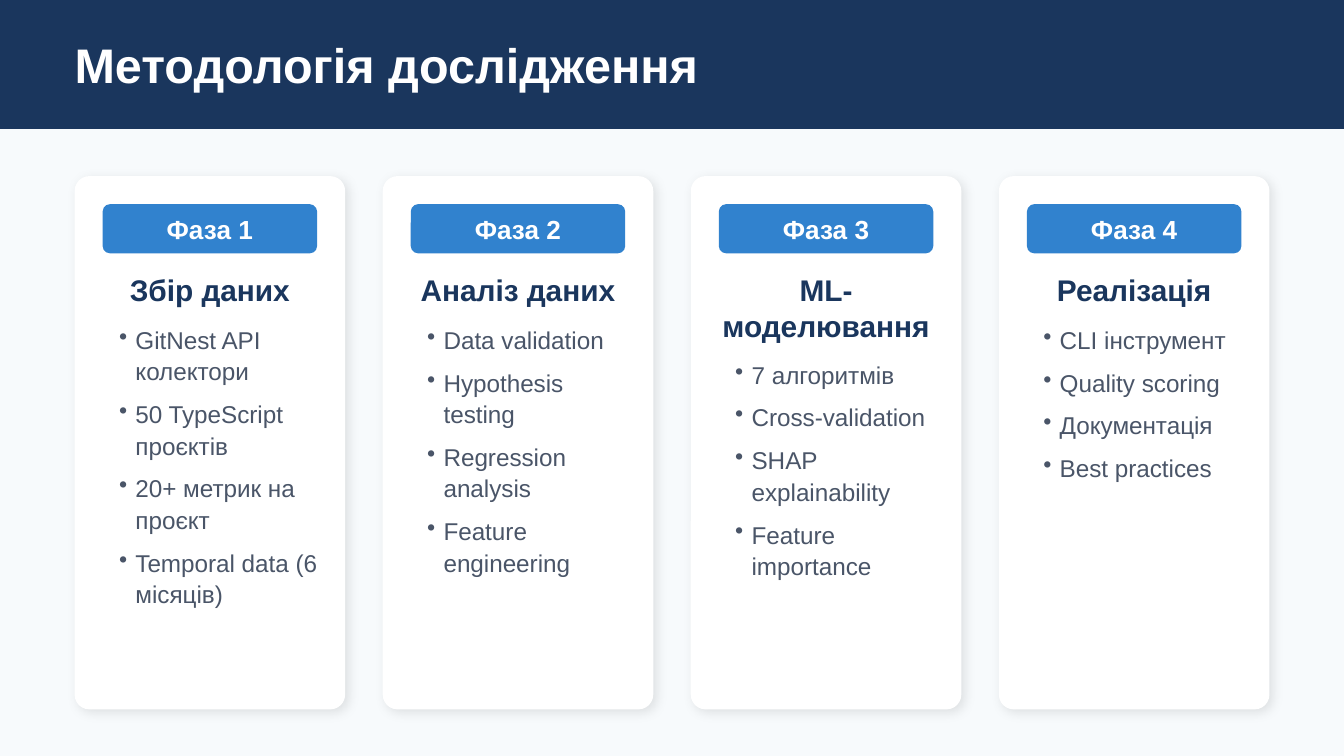
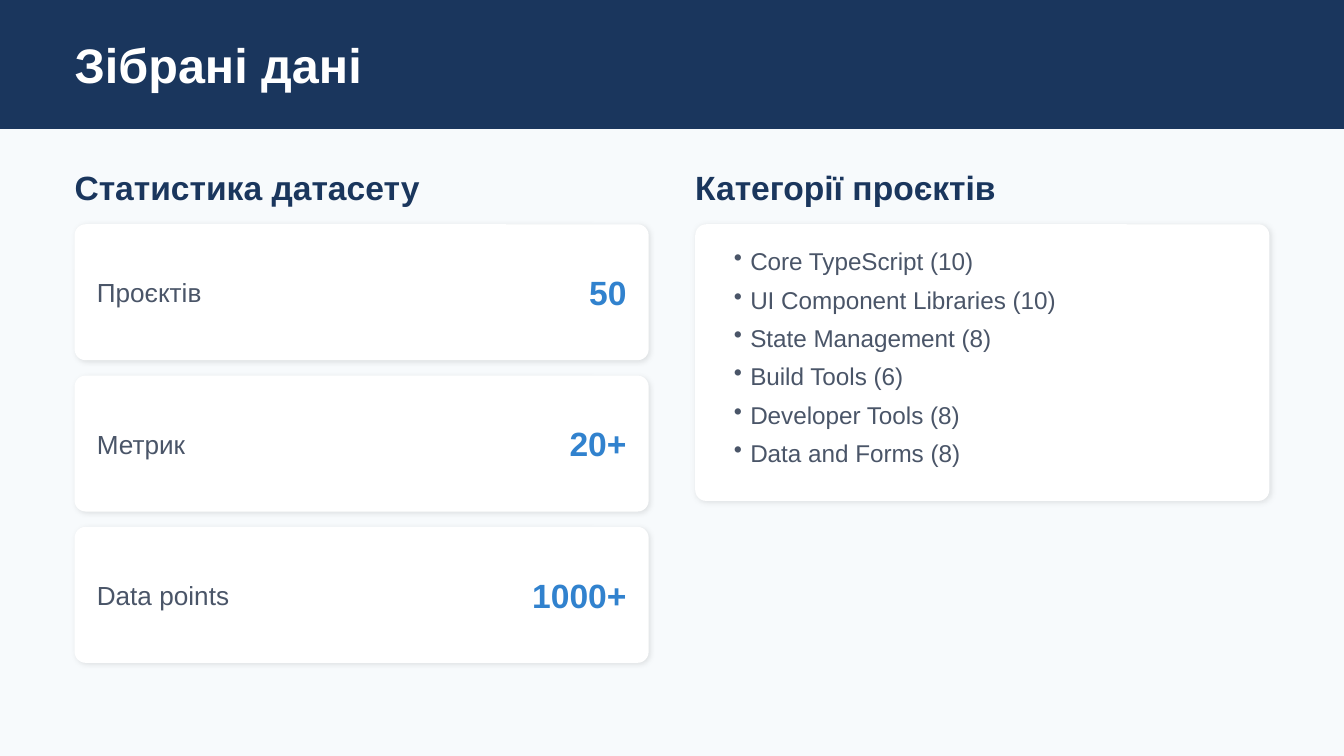
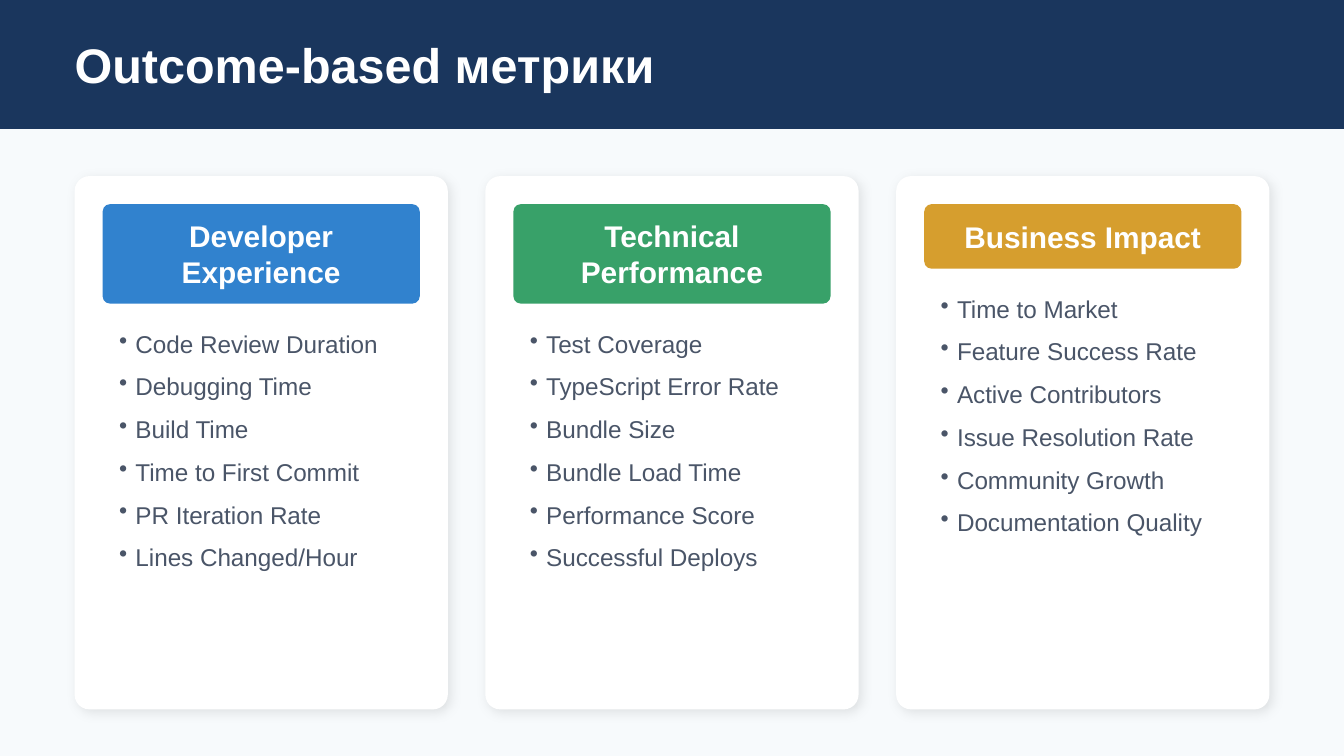
from lxml.etree import SubElement
from pptx import Presentation
from pptx.dml.color import RGBColor
from pptx.enum.shapes import MSO_SHAPE as Preset
from pptx.enum.text import MSO_ANCHOR as Anchor, PP_ALIGN as Align
from pptx.oxml.ns import qn
from pptx.util import Cm, Pt

NAVY, BLUE, GREEN, GOLD = "1A365D", "3182CE", "38A169", "D69E2E"
WHITE, GREY, PALE = "FFFFFF", "4A5568", "F7FAFC"

WIDTH, HEIGHT = 25.4, 14.29
MARGIN, GAP, PADDING = 1.41, 0.71, 0.53
CONTENT = WIDTH - 2 * MARGIN
CARD_TOP, CARD_HEIGHT = 3.33, 10.08
CARD_BOTTOM = CARD_TOP + CARD_HEIGHT
LINE = 0.66
INDENT = 0.31

TITLE = {"font": {"size": Pt(26), "bold": True}, "color": WHITE,
         "frame": {"margin_left": Cm(MARGIN), "vertical_anchor": Anchor.MIDDLE}}
HEADING = {"font": {"size": Pt(18), "bold": True}, "color": NAVY}
PHASE_HEADING = {"font": {"size": Pt(16), "bold": True}, "color": NAVY,
                 "paragraph": {"alignment": Align.CENTER}}
BADGE_FRAME = {"margin_left": Cm(0.38), "margin_right": Cm(0.38),
               "vertical_anchor": Anchor.MIDDLE}
PHASE_BADGE = {"font": {"size": Pt(14), "bold": True}, "color": WHITE,
               "paragraph": {"alignment": Align.CENTER}, "frame": BADGE_FRAME}
METRIC_BADGE = {**PHASE_BADGE, "font": {"size": Pt(16), "bold": True}}
LABEL = {"font": {"size": Pt(14)}, "color": GREY,
         "frame": {"vertical_anchor": Anchor.MIDDLE}}
VALUE = {"font": {"size": Pt(18), "bold": True}, "color": BLUE,
         "paragraph": {"alignment": Align.RIGHT},
         "frame": {"vertical_anchor": Anchor.MIDDLE}}
BULLETS = {"font": {"size": Pt(13)}, "color": GREY, "bullet": True,
           "paragraph": {"line_spacing": Pt(16.9), "space_after": Pt(6)},
           "frame": {"margin_left": Cm(INDENT)}}
TIGHT_BULLETS = {**BULLETS, "paragraph": {"line_spacing": Pt(15.6), "space_after": Pt(5)}}


def add_box(slide, left, top, width, height, fill, radius=0, shadow=None):
    preset = Preset.ROUNDED_RECTANGLE if radius else Preset.RECTANGLE
    shape = slide.shapes.add_shape(preset, Cm(left), Cm(top), Cm(width), Cm(height))
    shape.fill.solid()
    shape.fill.fore_color.rgb = RGBColor.from_string(fill)
    shape.line.fill.background()
    shape.shadow.inherit = False
    if radius:
        shape.adjustments[0] = radius / min(width, height)
    if shadow:
        blur, distance = shadow
        effects = shape._element.spPr.find(qn("a:effectLst"))
        outer = SubElement(effects, qn("a:outerShdw"), blurRad=str(Pt(blur)),
                           dist=str(Pt(distance)), dir="2700000", algn="bl", rotWithShape="0")
        color = SubElement(outer, qn("a:srgbClr"), val="000000")
        SubElement(color, qn("a:alpha"), val="10000")
    return shape


def write(shape, lines, style):
    frame = shape.text_frame
    values = {"word_wrap": True, "margin_left": 0, "margin_top": 0, "margin_right": 0,
              "margin_bottom": 0, "vertical_anchor": Anchor.TOP, **style.get("frame", {})}
    for name, value in values.items():
        setattr(frame, name, value)
    for index, line in enumerate(lines):
        paragraph = frame.add_paragraph() if index else frame.paragraphs[0]
        for name, value in {"alignment": Align.LEFT, **style.get("paragraph", {})}.items():
            setattr(paragraph, name, value)
        if style.get("bullet"):
            properties = paragraph._p.get_or_add_pPr()
            properties.set("marL", str(Cm(INDENT)))
            properties.set("indent", str(-Cm(INDENT)))
            SubElement(properties, qn("a:buChar"), char="•")
        run = paragraph.add_run()
        run.text = line
        for name, value in {"name": "Arial", **style["font"]}.items():
            setattr(run.font, name, value)
        run.font.color.rgb = RGBColor.from_string(style["color"])


presentation = Presentation()
presentation.slide_width = Cm(WIDTH)
presentation.slide_height = Cm(HEIGHT)

slides = []
for title in ["Методологія дослідження", "Зібрані дані", "Outcome-based метрики"]:
    slide = presentation.slides.add_slide(presentation.slide_layouts[6])
    slide.background.fill.solid()
    slide.background.fill.fore_color.rgb = RGBColor.from_string(PALE)
    write(add_box(slide, 0, 0, WIDTH, 2.44, NAVY), [title], TITLE)
    slides.append(slide)
methodology, dataset, metrics = slides

phases = [
    ("Збір даних", 1, ["GitNest API колектори", "50 TypeScript проєктів",
                       "20+ метрик на проєкт", "Temporal data (6 місяців)"]),
    ("Аналіз даних", 1, ["Data validation", "Hypothesis testing",
                         "Regression analysis", "Feature engineering"]),
    ("ML-моделювання", 2, ["7 алгоритмів", "Cross-validation",
                           "SHAP explainability", "Feature importance"]),
    ("Реалізація", 1, ["CLI інструмент", "Quality scoring",
                       "Документація", "Best practices"]),
]
card_width = (CONTENT - GAP * (len(phases) - 1)) / len(phases)
inner_width = card_width - 2 * PADDING
for index, (heading, line_count, items) in enumerate(phases):
    left = MARGIN + index * (card_width + GAP)
    inner_left = left + PADDING
    add_box(methodology, left, CARD_TOP, card_width, CARD_HEIGHT, WHITE, 0.28, (6, 2.1))
    badge = add_box(methodology, inner_left, CARD_TOP + PADDING, inner_width, 0.93, BLUE, 0.14)
    write(badge, [f"Фаза {index + 1}"], PHASE_BADGE)
    heading_top, heading_height = 5.13, LINE * line_count
    heading_box = methodology.shapes.add_textbox(
        Cm(inner_left), Cm(heading_top), Cm(inner_width), Cm(heading_height))
    write(heading_box, [heading], PHASE_HEADING)
    list_top = heading_top + heading_height + 0.31
    list_box = methodology.shapes.add_textbox(
        Cm(inner_left), Cm(list_top), Cm(inner_width), Cm(CARD_BOTTOM - PADDING - list_top))
    write(list_box, items, BULLETS)

column_gap, column_padding = 0.88, 0.42
column_width = (CONTENT - column_gap) / 2
right_column = MARGIN + column_width + column_gap
for left, heading in [(MARGIN, "Статистика датасету"), (right_column, "Категорії проєктів")]:
    heading_box = dataset.shapes.add_textbox(Cm(left), Cm(3.15), Cm(column_width), Cm(0.74))
    write(heading_box, [heading], HEADING)

row_top, row_height, row_pitch = 4.24, 2.57, 2.86
text_height, label_width, value_width = 0.74, 2.6, 1.9
for index, (label, value) in enumerate([("Проєктів", "50"), ("Метрик", "20+"),
                                        ("Data points", "1000+")]):
    top = row_top + index * row_pitch
    add_box(dataset, MARGIN, top, column_width, row_height, WHITE, 0.21, (3, 1.1))
    value_left = MARGIN + column_width - column_padding - value_width
    for text, left, width, style in [(label, MARGIN + column_padding, label_width, LABEL),
                                     (value, value_left, value_width, VALUE)]:
        text_box = dataset.shapes.add_textbox(
            Cm(left), Cm(top + (row_height - text_height) / 2), Cm(width), Cm(text_height))
        write(text_box, [text], style)

add_box(dataset, right_column, row_top, column_width, 5.23, WHITE, 0.21, (3, 1.1))
category_box = dataset.shapes.add_textbox(
    Cm(right_column + column_padding), Cm(row_top + column_padding),
    Cm(column_width - 2 * column_padding), Cm(4.22))
write(category_box, ["Core TypeScript (10)", "UI Component Libraries (10)",
                     "State Management (8)", "Build Tools (6)",
                     "Developer Tools (8)", "Data and Forms (8)"], TIGHT_BULLETS)

metric_groups = [
    ("Developer Experience", 2, BLUE,
     ["Code Review Duration", "Debugging Time", "Build Time",
      "Time to First Commit", "PR Iteration Rate", "Lines Changed/Hour"]),
    ("Technical Performance", 2, GREEN,
     ["Test Coverage", "TypeScript Error Rate", "Bundle Size",
      "Bundle Load Time", "Performance Score", "Successful Deploys"]),
    ("Business Impact", 1, GOLD,
     ["Time to Market", "Feature Success Rate", "Active Contributors",
      "Issue Resolution Rate", "Community Growth", "Documentation Quality"]),
]
card_width = (CONTENT - GAP * (len(metric_groups) - 1)) / len(metric_groups)
inner_width = card_width - 2 * PADDING
for index, (heading, line_count, color, items) in enumerate(metric_groups):
    left = MARGIN + index * (card_width + GAP)
    inner_left, badge_top = left + PADDING, CARD_TOP + PADDING
    badge_height = 0.56 + LINE * line_count
    add_box(metrics, left, CARD_TOP, card_width, CARD_HEIGHT, WHITE, 0.28, (6, 2.1))
    badge = add_box(metrics, inner_left, badge_top, inner_width, badge_height, color, 0.14)
    write(badge, [heading], METRIC_BADGE)
    list_box = metrics.shapes.add_textbox(
        Cm(inner_left), Cm(badge_top + badge_height + 0.43), Cm(inner_width), Cm(4.62))
    write(list_box, items, BULLETS)

presentation.save("out.pptx")
